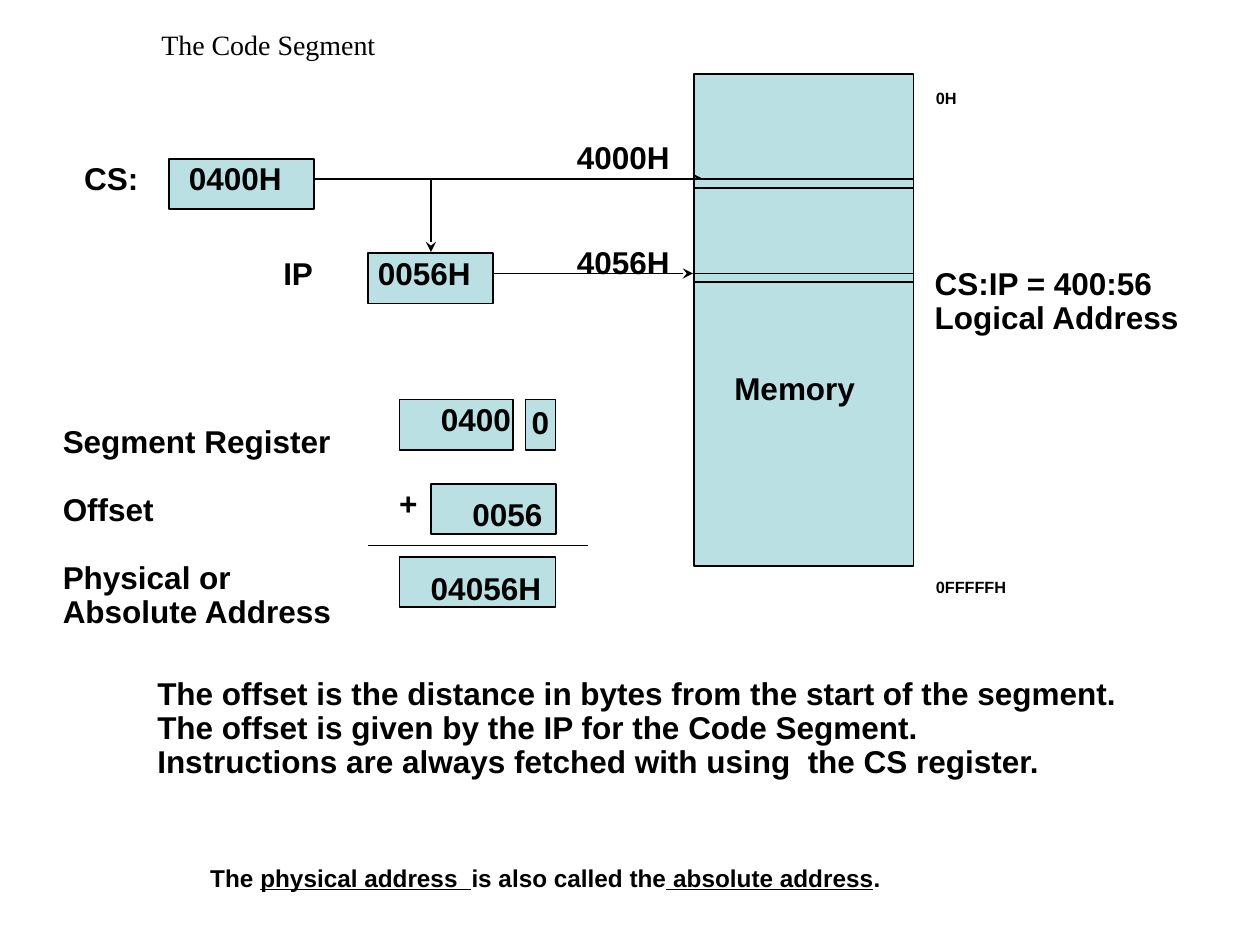
from lxml import etree
from pptx import Presentation
from pptx.dml.color import RGBColor
from pptx.enum.shapes import MSO_CONNECTOR, MSO_SHAPE
from pptx.enum.text import MSO_ANCHOR, MSO_AUTO_SIZE, PP_ALIGN
from pptx.oxml.ns import qn
from pptx.util import Inches, Pt

RECT = MSO_SHAPE.RECTANGLE
STRAIGHT = MSO_CONNECTOR.STRAIGHT
CENTER = PP_ALIGN.CENTER
MIDDLE = MSO_ANCHOR.MIDDLE
FIT_SHAPE = MSO_AUTO_SIZE.SHAPE_TO_FIT_TEXT

BLACK, TEAL = "000000", "BBE0E3"
CELL_H = 0.4
LABEL_H = 0.37
LINE_PITCH = 19.44


def color(hex_value):
    return RGBColor.from_string(hex_value)


def style_run(r, size=18, font="Arial", bold=True, lowered=False):
    r.font.name, r.font.size, r.font.bold = font, Pt(size), bold
    r.font.color.rgb = color(BLACK)
    if lowered:
        r.font._element.set("baseline", "-25000")


def set_insets(tf, side=0.1, top=0.05):
    tf.margin_left = tf.margin_right = Inches(side)
    tf.margin_top = tf.margin_bottom = Inches(top)
    tf.word_wrap = False


def add_label(s, x, y, w, text, h=LABEL_H, spacing=0.9, **style):
    """Place unwrapped text, one paragraph for each line, and return its frame."""
    tf = s.shapes.add_textbox(Inches(x), Inches(y), Inches(w), Inches(h)).text_frame
    set_insets(tf)
    tf.auto_size = FIT_SHAPE
    tf.text = text
    for p in tf.paragraphs:
        p.line_spacing = spacing
        for r in p.runs:
            style_run(r, **style)
    return tf


def add_cell(s, x, y, w, h=CELL_H):
    sp = s.shapes.add_shape(RECT, Inches(x), Inches(y), Inches(w), Inches(h))
    sp.shadow.inherit = False
    sp.fill.solid()
    sp.fill.fore_color.rgb = color(TEAL)
    sp.line.color.rgb = color(BLACK)
    sp.line.width = Pt(1)
    return sp


def add_line(s, x1, y1, x2, y2, arrow=False):
    cn = s.shapes.add_connector(STRAIGHT, Inches(x1), Inches(y1), Inches(x2), Inches(y2))
    cn.line.color.rgb = color(BLACK)
    cn.line.width = Pt(1)
    if arrow:
        etree.SubElement(cn.line._get_or_add_ln(), qn("a:tailEnd"), type="stealth")
    etree.SubElement(cn._element.spPr, qn("a:effectLst"))


def add_title(s, x, y, w, h):
    tf = add_label(s, x, y, w, "The Code Segment", h, 1.0,
                   size=16, font="Times New Roman", bold=False)
    set_insets(tf, 0.07, 0.03)
    tf.paragraphs[0].alignment = CENTER


def add_memory(s, x, y, w, h):
    add_cell(s, x, y, w, h)
    add_label(s, x + 0.22, y + 2.32, 1.16, "Memory")
    for dx, dy, text in ((1.82, -0.08, "0H"), (1.82, h - 0.1, "0FFFFFH")):
        add_label(s, x + dx, y + dy, 0.76, text, size=16, lowered=True)
    add_label(s, x + 1.81, y + 1.49, 2.15, "CS:IP = 400:56\nLogical Address", 0.64)


def add_memory_bands(s, x, y, w):
    for dy in (0.83, 1.58):
        add_cell(s, x, y + dy, w, 0.07)


def add_registers(s, x, y):
    """Draw the CS and IP registers and the arrows to the memory."""
    add_cell(s, x + 0.77, y, 1.15)
    add_cell(s, x + 2.35, y + 0.75, 0.99)
    add_line(s, x + 1.93, y + 0.16, x + 5.01, y + 0.16, arrow=True)
    add_line(s, x + 2.85, y + 0.16, x + 2.85, y + 0.74, arrow=True)
    add_line(s, x + 3.35, y + 0.91, x + 4.93, y + 0.91, arrow=True)
    for dx, dy, w, text in (
        (0, -0.01, 0.63, "CS:"),
        (0.83, -0.01, 0.94, "0400H"),
        (3.91, -0.18, 0.94, "4000H"),
        (1.58, 0.74, 0.44, "IP"),
        (2.33, 0.74, 0.94, "0056H"),
        (3.91, 0.65, 0.94, "4056H"),
    ):
        add_label(s, x + dx, y + dy, w, text)


def add_address_sum(s, x, y):
    """Draw segment register + offset = physical address."""
    captions = add_label(
        s, x, y + 0.16, 2.34,
        "Segment Register\nOffset\nPhysical or\nAbsolute Address", 1.72)
    for p in captions.paragraphs[1:3]:
        p.space_before = Pt(LINE_PITCH)

    right = x + 4.01
    for dy, w in ((0.67, 0.99), (1.25, 1.24)):
        add_cell(s, right - w, y + dy, w)
    add_cell(s, right - 1.24, y, 0.9)
    tf = add_cell(s, right - 0.24, y, 0.24).text_frame
    set_insets(tf)
    tf.vertical_anchor = MIDDLE
    tf.text = "0"
    p = tf.paragraphs[0]
    p.alignment, p.line_spacing = CENTER, 0.9
    style_run(p.runs[0])

    add_line(s, x + 2.52, y + 1.16, x + 4.27, y + 1.16)
    for dx, dy, w, text in (
        (2.67, 0.66, 0.35, "+"),
        (3.0, -0.01, 0.76, "0400"),
        (3.25, 0.74, 0.76, "0056"),
        (2.92, 1.33, 1.08, "04056H"),
    ):
        add_label(s, x + dx, y + dy, w, text)


def add_notes(s, x, y):
    add_label(s, x, y, 7.81,
              "The offset is the distance in bytes from the start of the segment.\n"
              "The offset is given by the IP for the Code Segment.\n"
              "Instructions are always fetched with using  the CS register.", 0.91)
    p = add_label(s, x + 0.42, y + 1.25, 5.52, "", 0.51).paragraphs[0]
    for text, underlined in (
        ("The ", False),
        ("physical address  ", True),
        ("is also called the", False),
        (" absolute address", True),
        (".", False),
    ):
        r = p.add_run()
        r.text = text
        style_run(r, size=24, lowered=True)
        r.font.underline = underlined


def main():
    prs = Presentation()
    prs.slide_width, prs.slide_height = Inches(10), Inches(7.5)
    s = prs.slides.add_slide(prs.slide_layouts[6])
    add_title(s, 1.21, 0.19, 1.84, 0.32)
    add_memory(s, 5.51, 0.59, 1.74, 3.9)
    add_registers(s, 0.57, 1.26)
    add_memory_bands(s, 5.51, 0.59, 1.74)
    add_address_sum(s, 0.4, 3.17)
    add_notes(s, 1.15, 5.33)
    prs.save("out.pptx")


if __name__ == "__main__":
    main()
